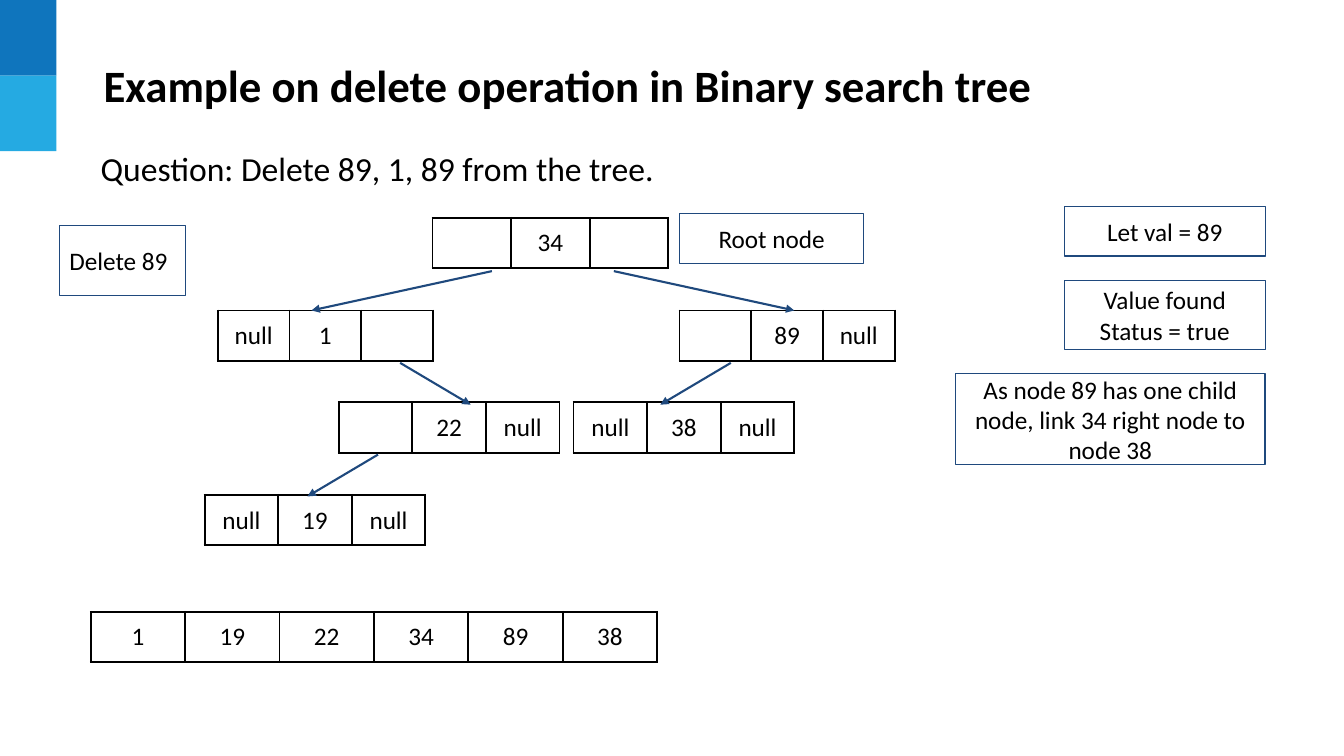
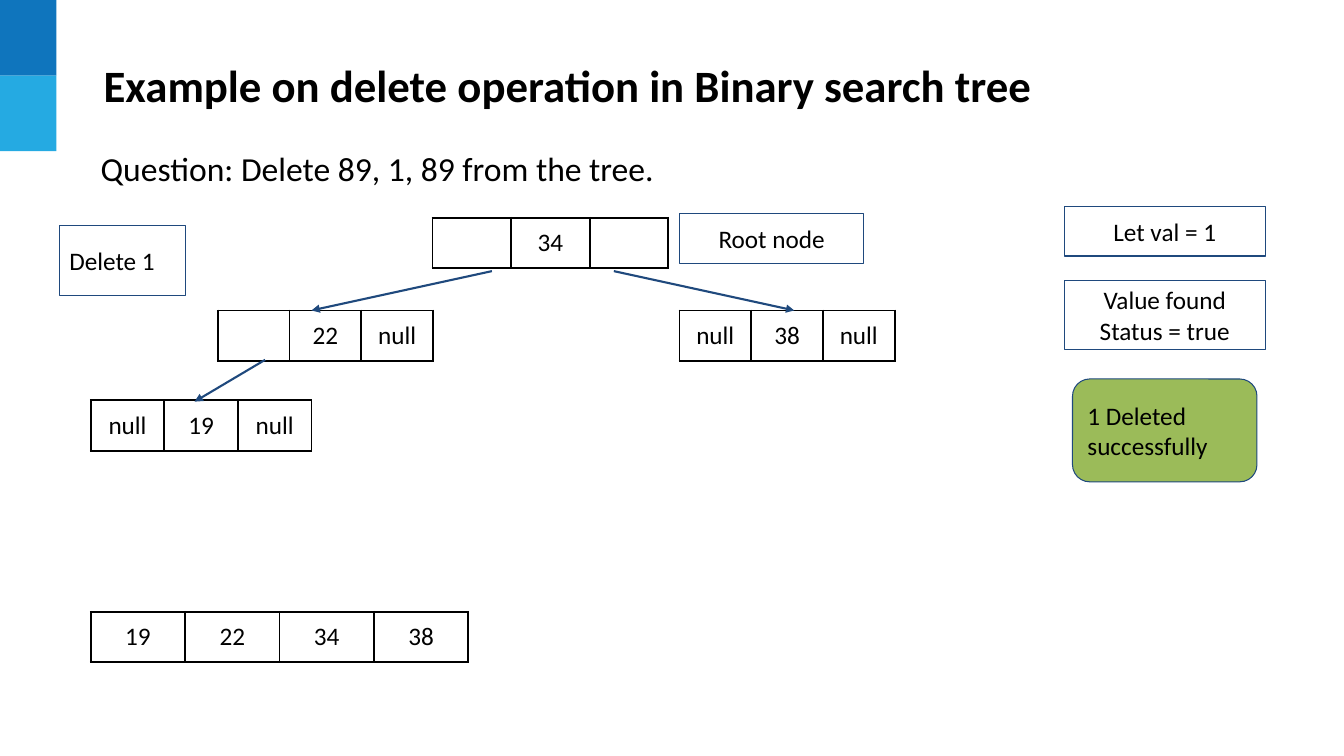
from dataclasses import dataclass

from lxml.etree import SubElement
from pptx import Presentation
from pptx.dml.color import RGBColor
from pptx.enum.shapes import MSO_CONNECTOR, MSO_SHAPE
from pptx.enum.text import MSO_ANCHOR, MSO_AUTO_SIZE, PP_ALIGN
from pptx.oxml.ns import qn
from pptx.slide import Slide
from pptx.table import _Cell
from pptx.text.text import TextFrame
from pptx.util import Inches, Pt

BLACK = RGBColor(0x00, 0x00, 0x00)
WHITE = RGBColor(0xFF, 0xFF, 0xFF)
NAVY = RGBColor(0x1F, 0x49, 0x7D)
GREEN = RGBColor(0x9B, 0xBB, 0x59)
BANDS = (RGBColor(0x0F, 0x75, 0xBD), RGBColor(0x25, 0xAA, 0xE2))
FONT = "Calibri"
TITLE = "Example on delete operation in Binary search tree"
QUESTION = "Question: Delete 89, 1, 89 from the tree."

# Ten grid columns and ten grid rows to the inch
GRID_COLUMNS, GRID_ROWS = 133.33, 75
CELL_HEIGHT = 5
INSET = 1
BAND_WIDTH, BAND_HEIGHT = 5.6, 7.5
NODE_WIDTH, LEAF_WIDTH, ROOT_WIDTH, VALUE_WIDTH = 7.12, 7.3, 7.8, 9.37


def grid(steps: float) -> int:
    """Turn grid steps into a slide length."""
    return Inches(steps / 10)


@dataclass(frozen=True)
class Area:
    """A rectangle in grid columns and rows."""
    left: float
    top: float
    width: float
    height: float

    def lengths(self) -> tuple[int, int, int, int]:
        """Give the rectangle as slide lengths."""
        return (grid(self.left), grid(self.top), grid(self.width), grid(self.height))


@dataclass(frozen=True)
class Strip:
    """A row of equal cells: a tree node or the sorted values."""
    left: float
    top: float
    cell_width: float
    entries: tuple[str, ...]


@dataclass(frozen=True)
class Link:
    """An arrow from a parent, across and down to its child."""
    left: float
    top: float
    across: float
    down: float


@dataclass(frozen=True)
class Callout:
    """A framed remark."""
    area: Area
    text: str
    align: PP_ALIGN = PP_ALIGN.CENTER
    fill: RGBColor = WHITE
    outline: MSO_SHAPE = MSO_SHAPE.RECTANGLE


@dataclass(frozen=True)
class DeleteStep:
    """What is particular to one slide."""
    target: str
    strips: tuple[Strip, ...]
    links: tuple[Link, ...]
    outcome: Callout


def write_text(frame: TextFrame, text: str, *, size: int = 18, bold: bool = False,
               align: PP_ALIGN = PP_ALIGN.LEFT, anchor: MSO_ANCHOR = MSO_ANCHOR.MIDDLE,
               inset: float = INSET) -> None:
    """Write text, one paragraph a line, with the given format."""
    frame.word_wrap = True
    frame.vertical_anchor = anchor
    frame.margin_left = frame.margin_right = grid(INSET)
    frame.margin_top = frame.margin_bottom = grid(inset)
    frame.text = text
    for paragraph in frame.paragraphs:
        paragraph.alignment = align
        paragraph.font.size = Pt(size)
        for run in paragraph.runs:
            run.font.name = FONT
            run.font.size = Pt(size)
            run.font.bold = bold
            run.font.color.rgb = BLACK


def draw_bands(slide: Slide) -> None:
    """Stack the colour bands in the top left corner."""
    for index, colour in enumerate(BANDS):
        area = Area(0, index * BAND_HEIGHT, BAND_WIDTH, BAND_HEIGHT)
        band = slide.shapes.add_shape(MSO_SHAPE.RECTANGLE, *area.lengths())
        band.shadow.inherit = False
        band.fill.solid()
        band.fill.fore_color.rgb = colour
        band.line.fill.background()


def draw_headings(slide: Slide) -> None:
    """Write the title and the question."""
    title = slide.shapes.add_textbox(*Area(9.3, 3.9, 116.2, 9).lengths())
    write_text(title.text_frame, TITLE, size=32, bold=True, inset=INSET / 2)
    question = slide.shapes.add_textbox(*Area(9, 13.7, 116.2, 6.1).lengths())
    write_text(question.text_frame, QUESTION, size=24, anchor=MSO_ANCHOR.TOP)
    question.text_frame.auto_size = MSO_AUTO_SIZE.SHAPE_TO_FIT_TEXT


def draw_callout(slide: Slide, callout: Callout) -> None:
    """Draw a framed remark."""
    frame = slide.shapes.add_shape(callout.outline, *callout.area.lengths())
    frame.shadow.inherit = False
    frame.fill.solid()
    frame.fill.fore_color.rgb = callout.fill
    frame.line.color.rgb = NAVY
    frame.line.width = Pt(0.75)
    write_text(frame.text_frame, callout.text, align=callout.align)


def rule_cell(cell: _Cell) -> None:
    """Rule all four sides of a cell and leave it unfilled."""
    properties = cell._tc.get_or_add_tcPr()
    for side in ("a:lnL", "a:lnR", "a:lnT", "a:lnB"):
        border = SubElement(properties, qn(side), w=str(Pt(1.5)))
        SubElement(SubElement(border, qn("a:solidFill")), qn("a:srgbClr"), val=str(BLACK))
    cell.fill.background()


def draw_strip(slide: Slide, strip: Strip) -> None:
    """Draw a row of cells as a table."""
    count = len(strip.entries)
    area = Area(strip.left, strip.top, strip.cell_width * count, CELL_HEIGHT)
    table = slide.shapes.add_table(1, count, *area.lengths()).table
    table.first_row = table.horz_banding = False
    for column, entry in enumerate(strip.entries):
        table.columns[column].width = grid(strip.cell_width)
        cell = table.cell(0, column)
        cell.margin_left = cell.margin_right = grid(INSET)
        cell.margin_top = cell.margin_bottom = grid(INSET)
        rule_cell(cell)
        write_text(cell.text_frame, entry, align=PP_ALIGN.CENTER)


def draw_link(slide: Slide, link: Link) -> None:
    """Draw the arrow from a parent to its child."""
    arrow = slide.shapes.add_connector(
        MSO_CONNECTOR.STRAIGHT, grid(link.left), grid(link.top),
        grid(link.left + link.across), grid(link.top + link.down))
    arrow.line.color.rgb = NAVY
    arrow.line.width = Pt(1.5)
    SubElement(arrow.line._get_or_add_ln(), qn("a:tailEnd"), type="triangle")
    SubElement(arrow._element.spPr, qn("a:effectLst"))


ROOT = Strip(42.9, 21.6, ROOT_WIDTH, ("", "34", ""))
ROOT_LINKS = (Link(48.8, 26.9, -17.9, 3.9), Link(60.9, 26.9, 17.9, 3.9))


def left_child(*entries: str) -> Strip:
    """Place the left child of the root."""
    return Strip(21.6, 30.8, NODE_WIDTH, entries)


def right_child(*entries: str) -> Strip:
    """Place the right child of the root."""
    return Strip(67.4, 30.8, NODE_WIDTH, entries)


def leaf(left: float, top: float, *entries: str) -> Strip:
    """Place a node below the second level."""
    return Strip(left, top, LEAF_WIDTH, entries)


def sorted_values(*entries: str) -> Strip:
    """Place the values at the foot of the slide."""
    return Strip(9, 60.7, VALUE_WIDTH, entries)


def short_link(left: float, top: float, direction: int) -> Link:
    """Place an arrow below the second level, -1 for left and 1 for right."""
    return Link(left, top, 7 * direction, 4.15)


STEPS = (
    DeleteStep(
        target="89",
        strips=(
            left_child("null", "1", ""),
            right_child("", "89", "null"),
            leaf(33.6, 39.9, "", "22", "null"),
            leaf(56.9, 39.9, "null", "38", "null"),
            leaf(20.3, 49.1, "null", "19", "null"),
            sorted_values("1", "19", "22", "34", "89", "38"),
        ),
        links=(short_link(39.7, 36, 1), short_link(72.5, 36, -1), short_link(37.5, 45.1, -1)),
        outcome=Callout(Area(94.8, 37.1, 30.7, 9),
                        "As node 89 has one child node, link 34 right node to node 38"),
    ),
    DeleteStep(
        target="1",
        strips=(
            left_child("", "22", "null"),
            right_child("null", "38", "null"),
            leaf(9, 39.7, "null", "19", "null"),
            sorted_values("19", "22", "34", "38"),
        ),
        links=(short_link(26.3, 35.7, -1),),
        outcome=Callout(Area(106.4, 37.6, 18.3, 10.2), "1 Deleted successfully",
                        PP_ALIGN.LEFT, GREEN, MSO_SHAPE.ROUNDED_RECTANGLE),
    ),
)


def draw_step(slide: Slide, step: DeleteStep) -> None:
    """Draw one step of the deletion."""
    draw_bands(slide)
    draw_headings(slide)
    for callout in (
        Callout(Area(105.6, 20.5, 19.9, 4.9), f"Let val = {step.target}"),
        Callout(Area(67.4, 21.2, 18.3, 4.9), "Root node"),
        Callout(Area(105.6, 27.8, 19.9, 6.9), "Value found\nStatus = true"),
        Callout(Area(5.9, 22.4, 12.5, 6.9), f"Delete {step.target}", PP_ALIGN.LEFT),
        step.outcome,
    ):
        draw_callout(slide, callout)
    for strip in (ROOT, *step.strips):
        draw_strip(slide, strip)
    for link in (*ROOT_LINKS, *step.links):
        draw_link(slide, link)


def main() -> None:
    """Build and save the presentation."""
    deck = Presentation()
    deck.slide_width, deck.slide_height = grid(GRID_COLUMNS), grid(GRID_ROWS)
    blank = deck.slide_layouts[6]
    for step in STEPS:
        draw_step(deck.slides.add_slide(blank), step)
    deck.save("out.pptx")


main()
